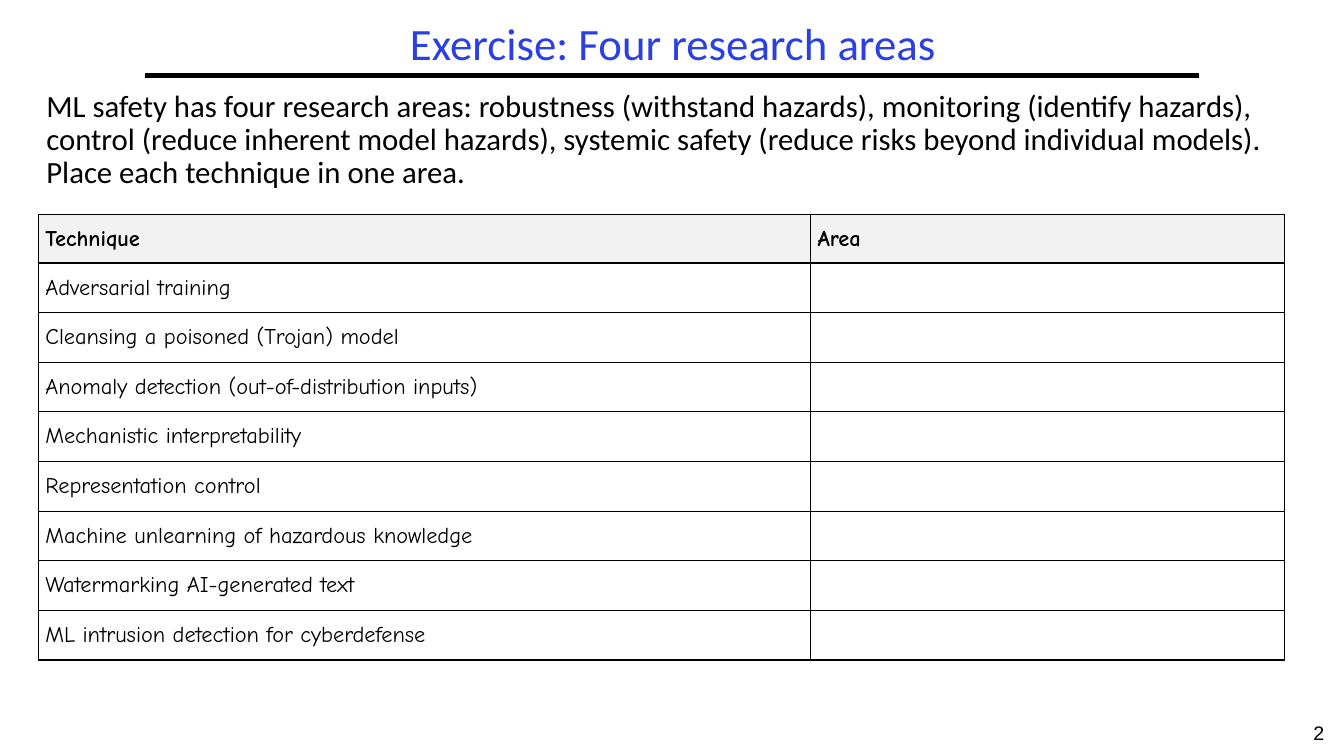
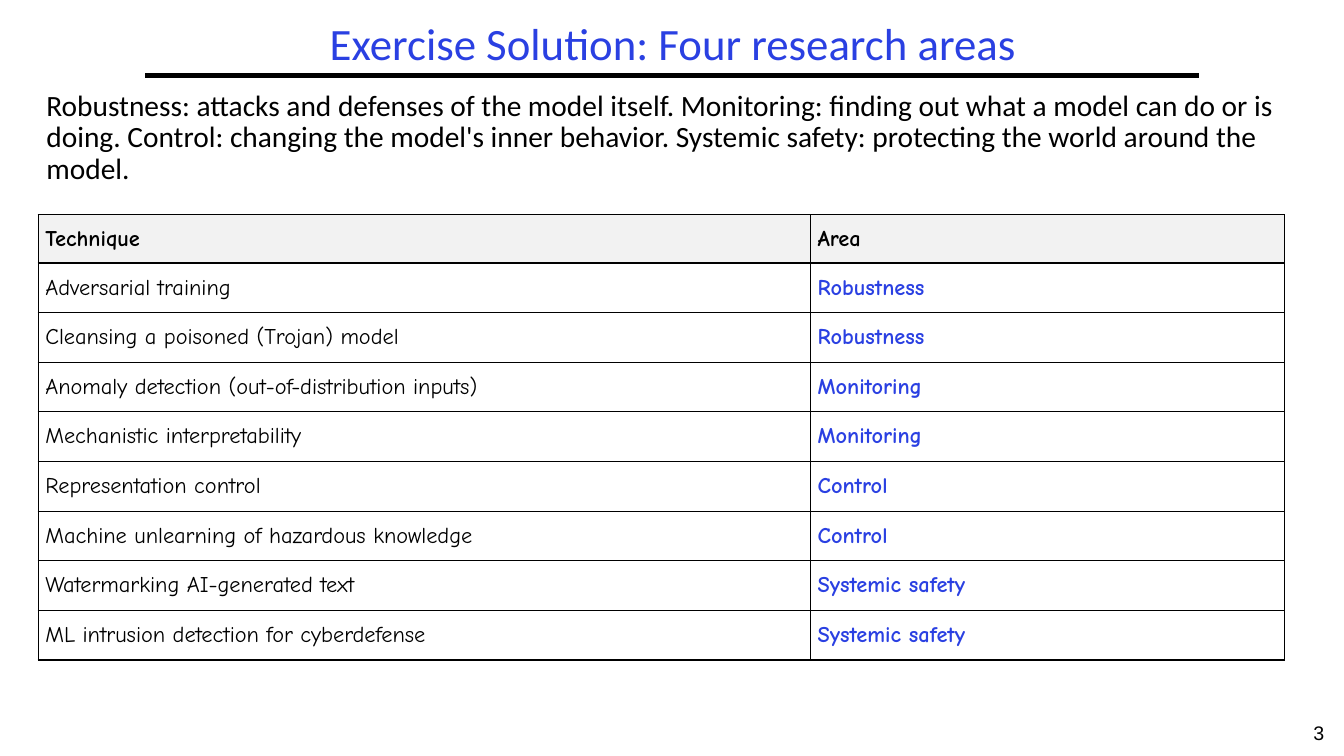
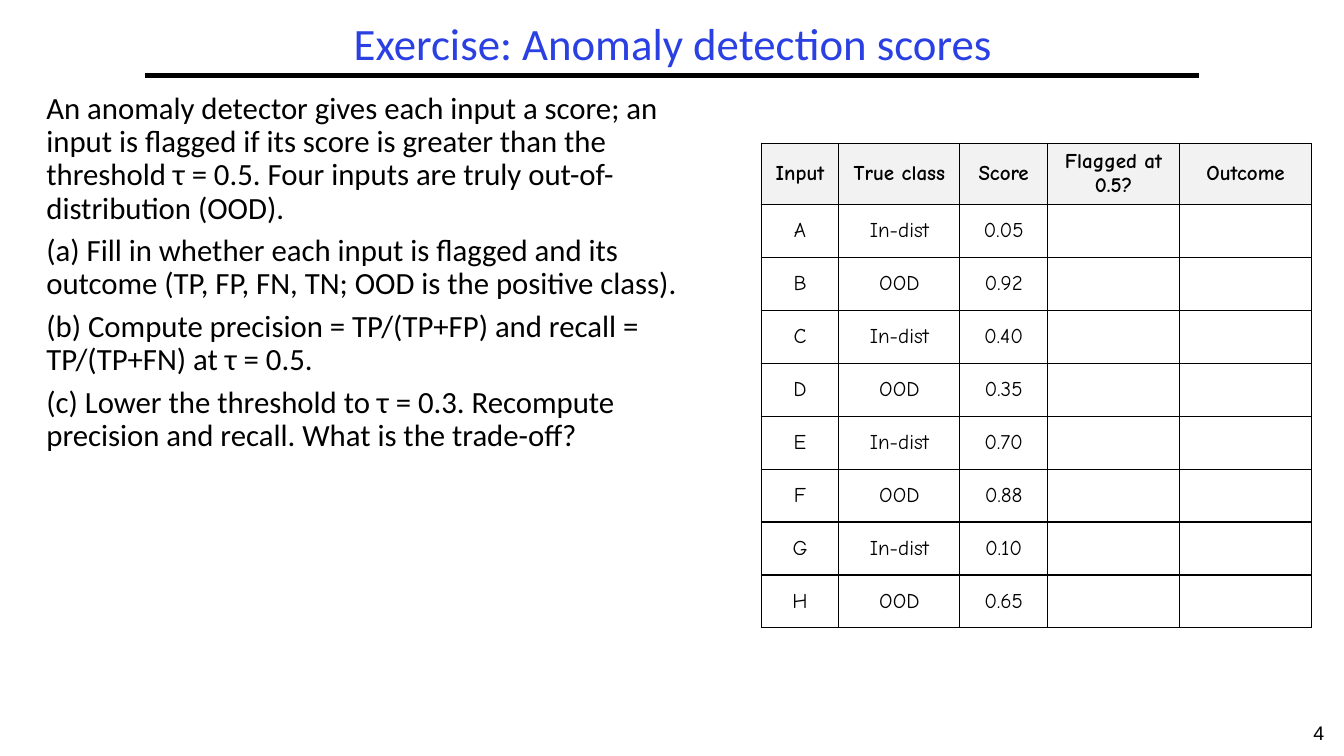
from lxml.etree import SubElement
from pptx import Presentation
from pptx.dml.color import RGBColor
from pptx.enum.shapes import MSO_CONNECTOR
from pptx.enum.text import MSO_ANCHOR, MSO_AUTO_SIZE, PP_ALIGN
from pptx.oxml import parse_xml
from pptx.oxml.ns import nsdecls, qn
from pptx.util import Inches, Pt

BLUE = RGBColor(0x2A, 0x40, 0xE2)
BLACK = RGBColor(0x00, 0x00, 0x00)
HEADER_GRAY = RGBColor(0xF2, 0xF2, 0xF2)

SLIDE_WIDTH, SLIDE_HEIGHT = 13.33, 7.5
TITLE_BOX = (1.44, 0.17, 10.47, 0.58)
WIDE_BODY_BOX = (0.36, 0.85, 12.58, 1.28)
LEFT_BODY_BOX = (0.36, 0.87, 6.89, 6.01)
RULE_LEFT, RULE_RIGHT, RULE_TOP = 1.44, 11.89, 0.75
NUMBER_BOX = (SLIDE_WIDTH - 0.5, SLIDE_HEIGHT - 0.4, 0.5, 0.4)
FIRST_NUMBER = 2

TITLE_FORMAT = {"name": "Calibri", "size": Pt(32), "color": BLUE}
BODY_FORMAT = {"name": "Calibri", "size": Pt(22), "color": BLACK}
NUMBER_FORMAT = {"name": "Arial", "size": Pt(14), "color": BLACK}
CELL_FORMAT = {"name": "Comic Neue", "size": Pt(16), "color": BLACK, "bold": False}
HEADER_FORMAT = {**CELL_FORMAT, "bold": True}
ANSWER_FORMAT = {**HEADER_FORMAT, "color": BLUE}

CELL_LAYOUT = {
    "margin_left": Inches(0.07), "margin_right": Inches(0.07),
    "margin_top": Inches(0.03), "margin_bottom": Inches(0.03),
    "vertical_anchor": MSO_ANCHOR.MIDDLE,
}
AREA_TABLE = {"left": 0.38, "top": 2.13, "height": 4.42, "header": 0.48,
              "columns": (7.66, 4.7)}
SCORE_TABLE = {"left": 7.55, "top": 1.42, "height": 4.81, "header": 0.61,
               "columns": (0.77, 1.2, 0.87, 1.31, 1.31),
               "size": Pt(15), "alignment": PP_ALIGN.CENTER}

TECHNIQUE_AREAS = [
    ("Adversarial training", "Robustness"),
    ("Cleansing a poisoned (Trojan) model", "Robustness"),
    ("Anomaly detection (out-of-distribution inputs)", "Monitoring"),
    ("Mechanistic interpretability", "Monitoring"),
    ("Representation control", "Control"),
    ("Machine unlearning of hazardous knowledge", "Control"),
    ("Watermarking AI-generated text", "Systemic safety"),
    ("ML intrusion detection for cyberdefense", "Systemic safety"),
]
INPUT_SCORES = [
    ("A", "In-dist", "0.05"), ("B", "OOD", "0.92"),
    ("C", "In-dist", "0.40"), ("D", "OOD", "0.35"),
    ("E", "In-dist", "0.70"), ("F", "OOD", "0.88"),
    ("G", "In-dist", "0.10"), ("H", "OOD", "0.65"),
]
AREA_HEADER = ("Technique", "Area")
SCORE_HEADER = ("Input", "True class", "Score", "Flagged at 0.5?", "Outcome")

AREA_TASK = [
    "ML safety has four research areas: robustness (withstand hazards), monitoring "
    "(identify hazards), control (reduce inherent model hazards), systemic safety "
    "(reduce risks beyond individual models). Place each technique in one area.",
]
AREA_SOLUTION = [
    "Robustness: attacks and defenses of the model itself. Monitoring: finding out "
    "what a model can do or is doing. Control: changing the model's inner behavior. "
    "Systemic safety: protecting the world around the model.",
]
SCORE_TASK = [
    "An anomaly detector gives each input a score; an input is flagged if its score is "
    "greater than the threshold τ = 0.5. Four inputs are truly out-of-distribution (OOD).",
    "(a) Fill in whether each input is flagged and its outcome "
    "(TP, FP, FN, TN; OOD is the positive class).",
    "(b) Compute precision = TP/(TP+FP) and recall = TP/(TP+FN) at τ = 0.5.",
    "(c) Lower the threshold to τ = 0.3. Recompute precision and recall. "
    "What is the trade-off?",
]


def apply_format(font, values):
    for name, value in values.items():
        if name == "color":
            font.color.rgb = value
        else:
            setattr(font, name, value)


def place(shape, box):
    for name, length in zip(("left", "top", "width", "height"), box):
        setattr(shape, name, Inches(length))


def add_rule(slide):
    """Draw the line under the title and move it to the slide's layout."""
    rule = slide.shapes.add_connector(
        MSO_CONNECTOR.STRAIGHT, Inches(RULE_LEFT), Inches(RULE_TOP),
        Inches(RULE_RIGHT), Inches(RULE_TOP))
    rule.line.color.rgb = BLACK
    rule.line.width = Pt(3)
    SubElement(rule.element.spPr, qn("a:effectLst"))
    slide.slide_layout.shapes.element.append(rule.element)


def add_number(slide, number):
    frame = slide.shapes.add_textbox(*map(Inches, NUMBER_BOX)).text_frame
    frame.word_wrap = True
    paragraph = frame.paragraphs[0]
    paragraph.text = str(number)
    paragraph.alignment = PP_ALIGN.CENTER
    apply_format(paragraph.runs[0].font, NUMBER_FORMAT)


def fill_title(slide, text):
    title = slide.shapes.title
    place(title, TITLE_BOX)
    frame = title.text_frame
    frame.text = text
    frame.auto_size = MSO_AUTO_SIZE.NONE
    frame.vertical_anchor = MSO_ANCHOR.MIDDLE
    paragraph = frame.paragraphs[0]
    paragraph.alignment = PP_ALIGN.CENTER
    paragraph.line_spacing = 0.9
    apply_format(paragraph.runs[0].font, TITLE_FORMAT)


def fill_body(slide, texts, box, size):
    body = slide.placeholders[1]
    place(body, box)
    frame = body.text_frame
    frame.text = "\n".join(texts)
    frame.auto_size = MSO_AUTO_SIZE.NONE
    for index, paragraph in enumerate(frame.paragraphs):
        properties = paragraph._p.get_or_add_pPr()
        properties.set("marL", "0")
        properties.set("indent", "0")
        SubElement(properties, qn("a:buNone"))
        paragraph.line_spacing = 0.9
        paragraph.space_before = Pt(size.pt * 0.3 if index else 0)
        apply_format(paragraph.runs[0].font, {**BODY_FORMAT, "size": size})


def add_borders(cell):
    properties = cell._tc.get_or_add_tcPr()
    for side in ("lnL", "lnR", "lnT", "lnB"):
        properties.append(parse_xml(
            f'<a:{side} {nsdecls("a")} w="{Pt(1)}"><a:solidFill>'
            f'<a:srgbClr val="{BLACK}"/></a:solidFill></a:{side}>'))


def fill_cell(cell, text, values, alignment, is_header):
    for name, value in CELL_LAYOUT.items():
        setattr(cell, name, value)
    add_borders(cell)
    if is_header:
        cell.fill.solid()
        cell.fill.fore_color.rgb = HEADER_GRAY
    else:
        cell.fill.background()
    if text:
        paragraph = cell.text_frame.paragraphs[0]
        paragraph.text = text
        paragraph.alignment = alignment
        apply_format(paragraph.runs[0].font, values)


def add_grid(slide, header, rows, layout, answer_column=None):
    """Add a bordered table; short rows leave their last cells empty."""
    widths = layout["columns"]
    table = slide.shapes.add_table(
        len(rows) + 1, len(header), Inches(layout["left"]), Inches(layout["top"]),
        Inches(sum(widths)), Inches(layout["height"])).table
    table.first_row = table.horz_banding = False
    for column, width in zip(table.columns, widths):
        column.width = Inches(width)
    row_height = (layout["height"] - layout["header"]) / len(rows)
    for row_index, texts in enumerate([header, *rows]):
        is_header = row_index == 0
        table.rows[row_index].height = Inches(layout["header"] if is_header else row_height)
        for column_index in range(len(header)):
            if is_header:
                values = HEADER_FORMAT
            elif column_index == answer_column:
                values = ANSWER_FORMAT
            else:
                values = CELL_FORMAT
            text = texts[column_index] if column_index < len(texts) else ""
            fill_cell(table.cell(row_index, column_index), text,
                      {**values, "size": layout.get("size", values["size"])},
                      layout.get("alignment", PP_ALIGN.LEFT), is_header)


def add_exercise(presentation, title, texts, body_box, size=BODY_FORMAT["size"]):
    slides = presentation.slides
    slide = slides.add_slide(presentation.slide_layouts[1])
    if len(slides) == 1:
        add_rule(slide)
    fill_title(slide, title)
    fill_body(slide, texts, body_box, size)
    add_number(slide, FIRST_NUMBER + len(slides) - 1)
    return slide


def main():
    presentation = Presentation()
    presentation.slide_width = Inches(SLIDE_WIDTH)
    presentation.slide_height = Inches(SLIDE_HEIGHT)

    slide = add_exercise(presentation, "Exercise: Four research areas",
                         AREA_TASK, WIDE_BODY_BOX)
    techniques = [(technique,) for technique, area in TECHNIQUE_AREAS]
    add_grid(slide, AREA_HEADER, techniques, AREA_TABLE)

    slide = add_exercise(presentation, "Exercise Solution: Four research areas",
                         AREA_SOLUTION, WIDE_BODY_BOX, Pt(21))
    add_grid(slide, AREA_HEADER, TECHNIQUE_AREAS, AREA_TABLE, answer_column=1)

    slide = add_exercise(presentation, "Exercise: Anomaly detection scores",
                         SCORE_TASK, LEFT_BODY_BOX)
    add_grid(slide, SCORE_HEADER, INPUT_SCORES, SCORE_TABLE)

    presentation.save("out.pptx")


if __name__ == "__main__":
    main()
